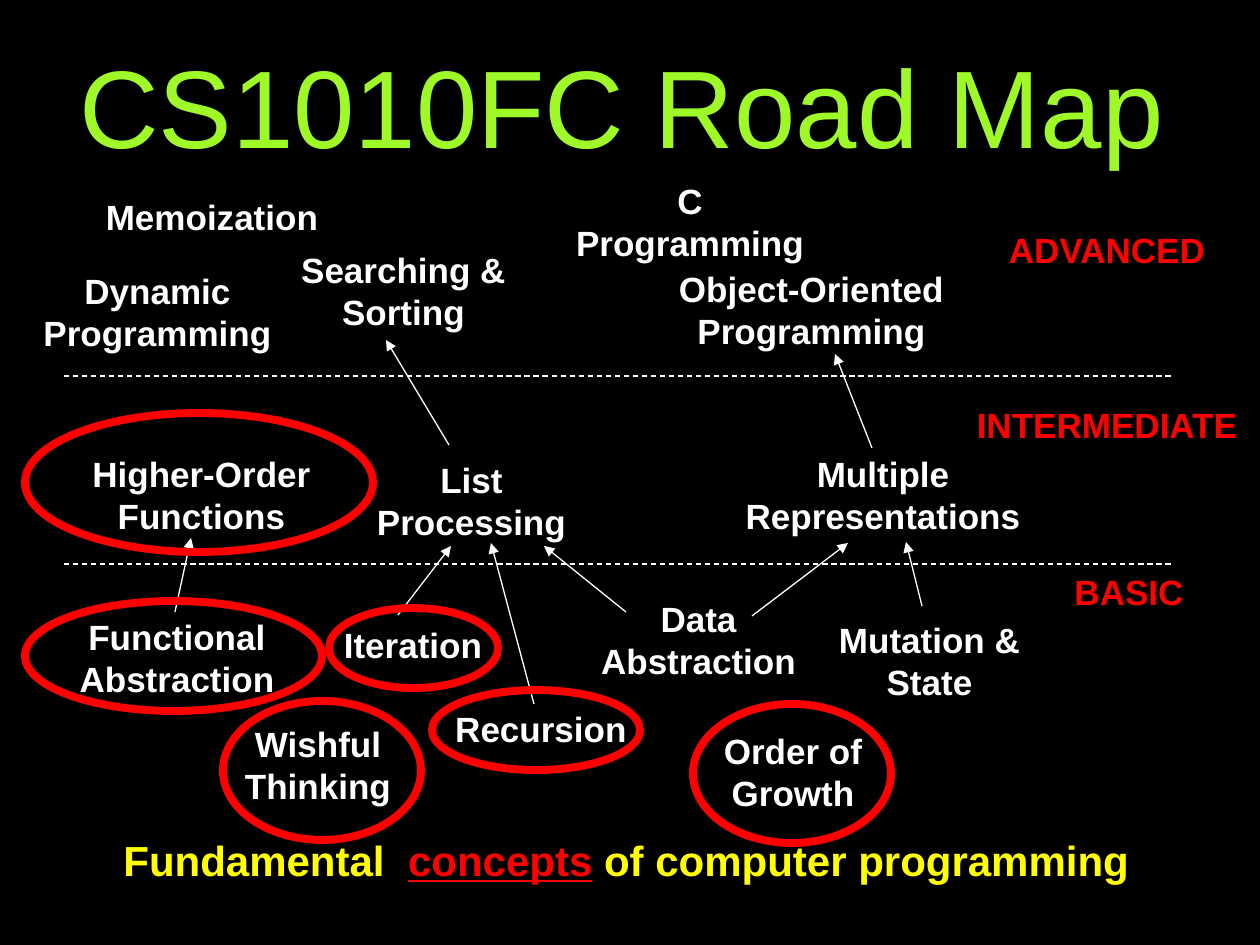
from dataclasses import dataclass

from lxml import etree
from pptx import Presentation
from pptx.dml.color import RGBColor
from pptx.enum.dml import MSO_LINE
from pptx.enum.shapes import MSO_CONNECTOR, MSO_SHAPE
from pptx.enum.text import MSO_ANCHOR, MSO_AUTO_SIZE, PP_ALIGN
from pptx.oxml.ns import qn
from pptx.util import Emu, Pt

CENTER, LEFT = PP_ALIGN.CENTER, PP_ALIGN.LEFT
MIDDLE = MSO_ANCHOR.MIDDLE
FIXED, GROW = MSO_AUTO_SIZE.NONE, MSO_AUTO_SIZE.SHAPE_TO_FIT_TEXT
DASH = MSO_LINE.DASH
STRAIGHT = MSO_CONNECTOR.STRAIGHT
OVAL = MSO_SHAPE.OVAL
TITLE_ONLY = 5
PX = 914400 / 126
ONE_LINE, TWO_LINES = 54, 97


@dataclass(frozen=True)
class Theme:
    font: str = "Arial"
    background: str = "000000"
    title: str = "9FF828"
    topic: str = "FFFFFF"
    accent: str = "FF0000"
    summary: str = "FFFF00"
    title_size: float = 63
    topic_size: float = 20
    summary_size: float = 24
    topic_gap: float = 12.5
    thin: float = 0.75
    thick: float = 4.5


def px(*lengths):
    return [Emu(round(length * PX)) for length in lengths]


def rgb(code):
    return RGBColor.from_string(code)


class RoadMap:
    def __init__(self, deck, theme):
        self.theme = theme
        self.page = deck.slides.add_slide(deck.slide_layouts[TITLE_ONLY])
        fill = self.page.background.fill
        fill.solid()
        fill.fore_color.rgb = rgb(theme.background)

    def style(self, font, size, color, bold):
        font.name, font.size, font.bold = self.theme.font, Pt(size), bold
        font.color.rgb = rgb(color)

    def title(self, text, left, top, width, height):
        box = self.page.shapes.title
        box.left, box.top, box.width, box.height = px(left, top, width, height)
        frame = box.text_frame
        frame.auto_size, frame.vertical_anchor = FIXED, MIDDLE
        frame.margin_left, frame.margin_top, frame.margin_right, frame.margin_bottom = px(8, 8, 13, 8)
        para = frame.paragraphs[0]
        para.text, para.alignment = text, CENTER
        self.style(para.font, self.theme.title_size, self.theme.title, False)

    def text_box(self, left, top, width, height, wrap=True):
        frame = self.page.shapes.add_textbox(*px(left, top, width, height)).text_frame
        frame.word_wrap, frame.auto_size = wrap, GROW
        return frame.paragraphs[0]

    def label(self, text, left, top, width, height, color):
        para = self.text_box(left, top, width, height)
        para.text, para.alignment = text, CENTER
        para.space_before = Pt(self.theme.topic_gap)
        self.style(para.font, self.theme.topic_size, color, True)

    def summary(self, before, keyword, after, left, top, width, height):
        para = self.text_box(left, top, width, height, wrap=False)
        para.alignment = LEFT
        self.style(para.font, self.theme.summary_size, self.theme.summary, True)
        for text in (before, keyword, after):
            span = para.add_run()
            span.text = text
            if text == keyword:
                span.font.underline = True
                span.font.color.rgb = rgb(self.theme.accent)

    def line(self, *ends):
        connector = self.page.shapes.add_connector(STRAIGHT, *px(*ends))
        connector.line.color.rgb = rgb(self.theme.topic)
        connector.line.width = Pt(self.theme.thin)
        etree.SubElement(connector._element.spPr, qn("a:effectLst"))
        return connector

    def divider(self, left, right, y):
        self.line(left, y, right, y).line.dash_style = DASH

    def arrow(self, *ends):
        outline = self.line(*ends)._element.spPr.find(qn("a:ln"))
        etree.SubElement(outline, qn("a:tailEnd"), type="triangle")

    def ring(self, left, top, width, height):
        oval = self.page.shapes.add_shape(OVAL, *px(left, top, width, height))
        oval.shadow.inherit = False
        oval.fill.background()
        oval.line.color.rgb = rgb(self.theme.accent)
        oval.line.width = Pt(self.theme.thick)


LEVELS = [
    ("BASIC", 1018, 564, 222),
    ("INTERMEDIATE", 954, 397, 306),
    ("ADVANCED", 954, 222, 306),
]
TOPICS = [
    ("Functional Abstraction", 66, 609, 222, TWO_LINES),
    ("Higher-Order Functions", 64, 446, 275, TWO_LINES),
    ("Recursion", 430, 701, 222, ONE_LINE),
    ("Iteration", 302, 617, 222, ONE_LINE),
    ("Wishful Thinking", 207, 716, 222, TWO_LINES),
    ("Order of Growth", 682, 723, 222, TWO_LINES),
    ("Data Abstraction", 587, 591, 223, TWO_LINES),
    ("List Processing", 360, 452, 223, TWO_LINES),
    ("Multiple\nRepresentations", 723, 446, 320, TWO_LINES),
    ("Object-Oriented Programming", 654, 261, 315, TWO_LINES),
    ("C Programming", 547, 173, 286, TWO_LINES),
    ("Memoization", 86, 189, 252, ONE_LINE),
    ("Dynamic Programming", 0, 263, 315, TWO_LINES),
    ("Mutation & State", 818, 612, 223, TWO_LINES),
    ("Searching & Sorting", 246, 242, 315, TWO_LINES),
]
ARROWS = [
    (175, 612, 191, 538),
    (398, 615, 451, 546),
    (534, 704, 491, 543),
    (626, 612, 544, 546),
    (752, 616, 848, 543),
    (922, 606, 906, 542),
    (872, 448, 835, 354),
    (449, 445, 386, 340),
]
RINGS = [
    (25, 601, 297, 110),
    (223, 701, 198, 139),
    (432, 690, 208, 80),
    (329, 608, 169, 80),
    (693, 704, 198, 139),
    (25, 413, 348, 139),
]


def main():
    deck = Presentation()
    deck.slide_width, deck.slide_height = px(1260, 945)
    theme = Theme()
    road_map = RoadMap(deck, theme)
    road_map.title("CS1010FC Road Map", 33, 32, 1182, 144)
    for y in (376, 564):
        road_map.divider(64, 1173, y)
    for name, left, top, width in LEVELS:
        road_map.label(name, left, top, width, ONE_LINE, theme.accent)
    for topic in TOPICS:
        road_map.label(*topic, theme.topic)
    for ends in ARROWS:
        road_map.arrow(*ends)
    road_map.summary("Fundamental  ", "concepts", " of computer programming", 111, 828, 1031, 63)
    for bounds in RINGS:
        road_map.ring(*bounds)
    deck.save("out.pptx")


if __name__ == "__main__":
    main()
